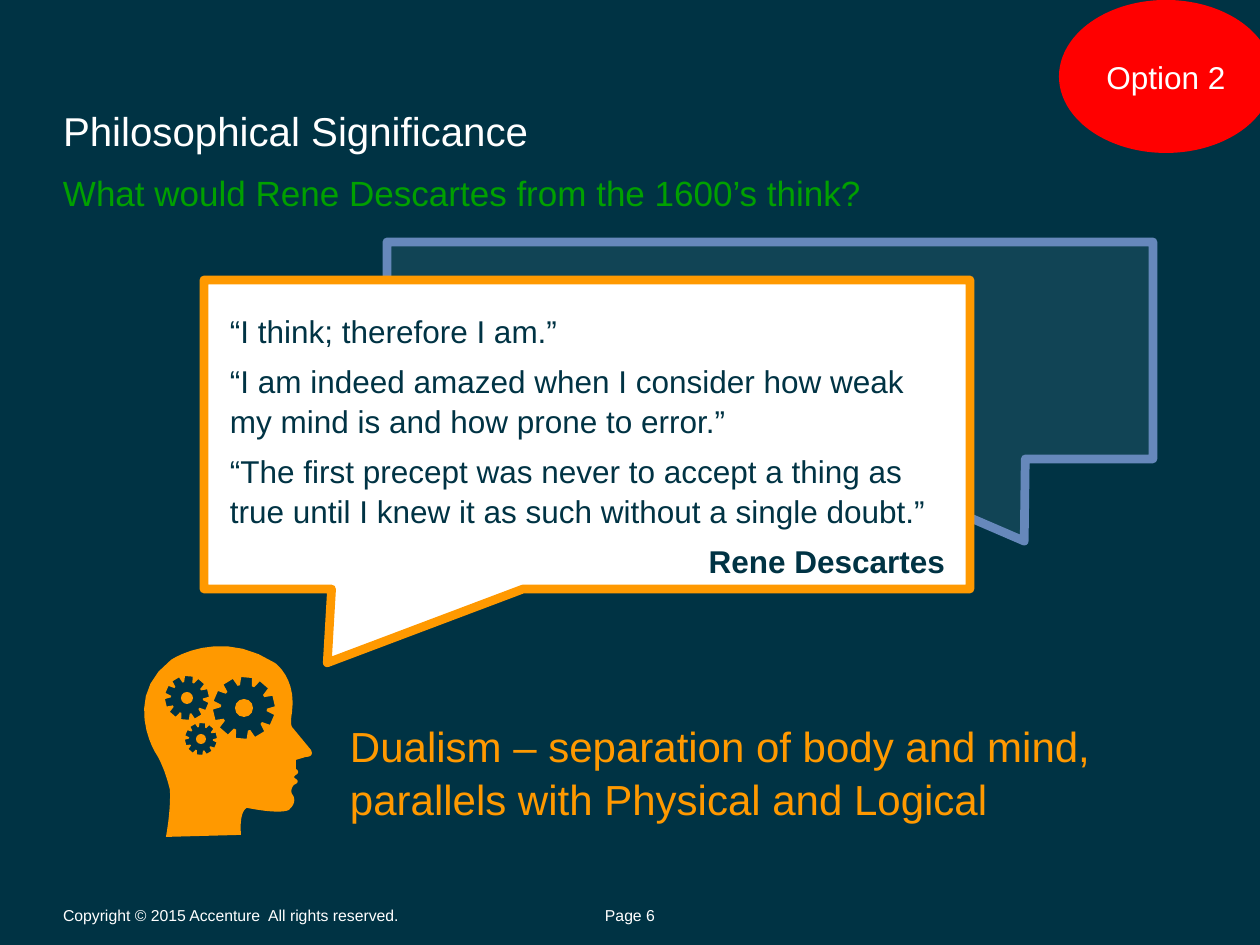
from math import cos, radians, sin

from lxml.etree import SubElement
from pptx import Presentation
from pptx.dml.color import RGBColor
from pptx.enum.shapes import MSO_SHAPE as SHAPE
from pptx.enum.text import MSO_ANCHOR as ANCHOR, PP_ALIGN as ALIGN
from pptx.oxml.ns import qn
from pptx.util import Emu, Pt

PX = 914400 / 126
FONT = "Arial"
COLORS = {
    "navy": "003344", "teal": "114455", "white": "FFFFFF", "green": "00A000",
    "orange": "FF9900", "blue": "6688BB", "red": "FF0000",
}

TITLE = "Philosophical Significance"
SUBTITLE = "What would Rene Descartes from the 1600’s think?"
BADGE = "Option 2"
QUOTES = [
    "“I think; therefore I am.”",
    "“I am indeed amazed when I consider how weak my mind is and how prone to error.”",
    "“The first precept was never to accept a thing as true until I knew it as such "
    "without a single doubt.”",
]
AUTHOR = "Rene Descartes"
TAKEAWAY = "Dualism – separation of body and mind, parallels with Physical and Logical"
COPYRIGHT = "Copyright © 2015 Accenture  All rights reserved."
PAGE = "Page 6"

# box, adjustments, fill, line
CALLOUTS = [
    ((387, 242, 766, 217), (0.332, 0.879), "teal", "blue"),
    ((204, 280, 766, 309), (-0.339, 0.739), "white", "orange"),
]

# Head outline: (end) for a straight part, (control, end) for a curved one
HEAD_START = (155, 752)
HEAD = [
    ((122, 697), (171, 660)), ((219, 627), (275, 663)), ((297, 678), (292, 713)),
    ((290, 723), (292, 727)), ((311, 750),), ((315, 757), (306, 757)),
    ((296, 760),), ((296, 769),), ((301, 772), (296, 775)),
    ((292, 777), (296, 779)), ((301, 782), (294, 785)), ((290, 789), (292, 794)),
    ((299, 801), (289, 810)), ((282, 815), (247, 808)), ((239, 810), (241, 835)),
    ((166, 837),), ((171, 811), (170, 790)), ((165, 767), (155, 752)),
]
CURVE_STEPS = 10

# centre x, centre y, outer radius, root radius, hub radius
GEARS = [(244, 708, 31, 23, 9), (187, 698, 22, 16, 6), (201, 739, 16, 12, 5)]
TEETH = 10
FIRST_TOOTH = 95
TOOTH = [(-15, False), (-10, True), (10, True), (15, False)]


def px(*values):
    return [Emu(round(v * PX)) for v in values]


def rgb(name):
    return RGBColor.from_string(COLORS[name])


def style(shape, fill, line=None, width=5):
    shape.shadow.inherit = False
    shape.fill.solid()
    shape.fill.fore_color.rgb = rgb(fill)
    if line:
        shape.line.color.rgb = rgb(line)
        shape.line.width = Pt(width)
    else:
        shape.line.fill.background()
    return shape


def write(shape, lines, size, color, inset, anchor=ANCHOR.TOP, align=ALIGN.LEFT, spacing=1):
    """Fill a shape with paragraphs; inset is left, top, right, bottom in px."""
    tf = shape.text_frame
    tf.word_wrap = True
    tf.vertical_anchor = anchor
    tf.margin_left, tf.margin_top, tf.margin_right, tf.margin_bottom = px(*inset)
    tf.text = "\n".join(lines)
    for p in tf.paragraphs:
        p.alignment = align
        p.line_spacing = spacing
        for r in p.runs:
            r.font.name = FONT
            r.font.size = Pt(size)
            r.font.color.rgb = rgb(color)
    return tf


def add_text(s, box, *args, **kwargs):
    return write(s.shapes.add_textbox(*px(*box)), *args, **kwargs)


def head_points():
    points = [HEAD_START]
    for *control, end in HEAD:
        x0, y0 = points[-1]
        if not control:
            points.append(end)
            continue
        (cx, cy), (x1, y1) = control[0], end
        for i in range(1, CURVE_STEPS + 1):
            t = i / CURVE_STEPS
            # Cubic curve whose first control point is its start
            a, b, c = (1 - t) ** 2 * (1 + 2 * t), 3 * (1 - t) * t ** 2, t ** 3
            points.append((a * x0 + b * cx + c * x1, a * y0 + b * cy + c * y1))
    return points


def gear_points(cx, cy, outer, root):
    points = []
    for n in range(TEETH):
        for offset, tip in TOOTH:
            angle = radians(FIRST_TOOTH + n * 360 / TEETH + offset)
            radius = outer if tip else root
            points.append((cx + radius * cos(angle), cy + radius * sin(angle)))
    return points


def add_head(s):
    """Draw the head with gear-shaped holes, then the gear hubs."""
    outlines = [head_points()] + [gear_points(*gear[:4]) for gear in GEARS]
    builder = s.shapes.build_freeform(*px(*HEAD_START))
    for i, outline in enumerate(outlines):
        if i:
            builder.move_to(*px(*outline[0]))
        builder.add_line_segments([px(*point) for point in outline[1:]], close=True)
    style(builder.convert_to_shape(), "orange")
    for cx, cy, _, _, hub in GEARS:
        box = px(cx - hub, cy - hub, 2 * hub, 2 * hub)
        style(s.shapes.add_shape(SHAPE.OVAL, *box), "orange")


def add_callouts(s):
    for box, adjustments, fill, line in CALLOUTS:
        callout = style(s.shapes.add_shape(SHAPE.RECTANGULAR_CALLOUT, *px(*box)), fill, line)
        for i, value in enumerate(adjustments):
            callout.adjustments[i] = value
        SubElement(callout.line._get_or_add_ln(), qn("a:round"))


def main():
    prs = Presentation()
    prs.slide_width, prs.slide_height = px(1260, 945)
    s = prs.slides.add_slide(prs.slide_layouts[5])
    s.background.fill.solid()
    s.background.fill.fore_color.rgb = rgb("navy")

    title = s.shapes.title
    title.left, title.top, title.width, title.height = px(63, 16, 1134, 139)
    write(title, [TITLE], 23, "white", (0, 6, 0, 0), ANCHOR.BOTTOM)
    add_text(s, (63, 163, 1134, 54), [SUBTITLE], 20, "green", (0, 6, 0, 0), spacing=1.05)
    add_text(s, (63, 906, 496, 18), [COPYRIGHT], 9, "white", (0, 6, 13, 6), ANCHOR.MIDDLE)
    add_text(s, (592, 906, 76, 18), [PAGE], 9, "white", (0, 6, 0, 6), ANCHOR.MIDDLE, ALIGN.CENTER)

    badge = style(s.shapes.add_shape(SHAPE.OVAL, *px(1059, 0, 214, 153)), "red")
    write(badge, [BADGE], 18, "white", (13, 6, 13, 6), ANCHOR.MIDDLE, ALIGN.CENTER)
    add_text(s, (315, 688, 871, 146), [TAKEAWAY], 24, "orange", (35, 30, 13, 6), spacing=1.05)

    add_head(s)
    add_callouts(s)
    tf = add_text(s, (217, 304, 741, 273), QUOTES + [AUTHOR], 18, "navy",
                  (13, 6, 13, 6), spacing=1.05)
    for p in tf.paragraphs:
        p.space_after = Pt(6)
    author = tf.paragraphs[-1]
    author.alignment = ALIGN.RIGHT
    author.runs[0].font.bold = True

    prs.save("out.pptx")


if __name__ == "__main__":
    main()
